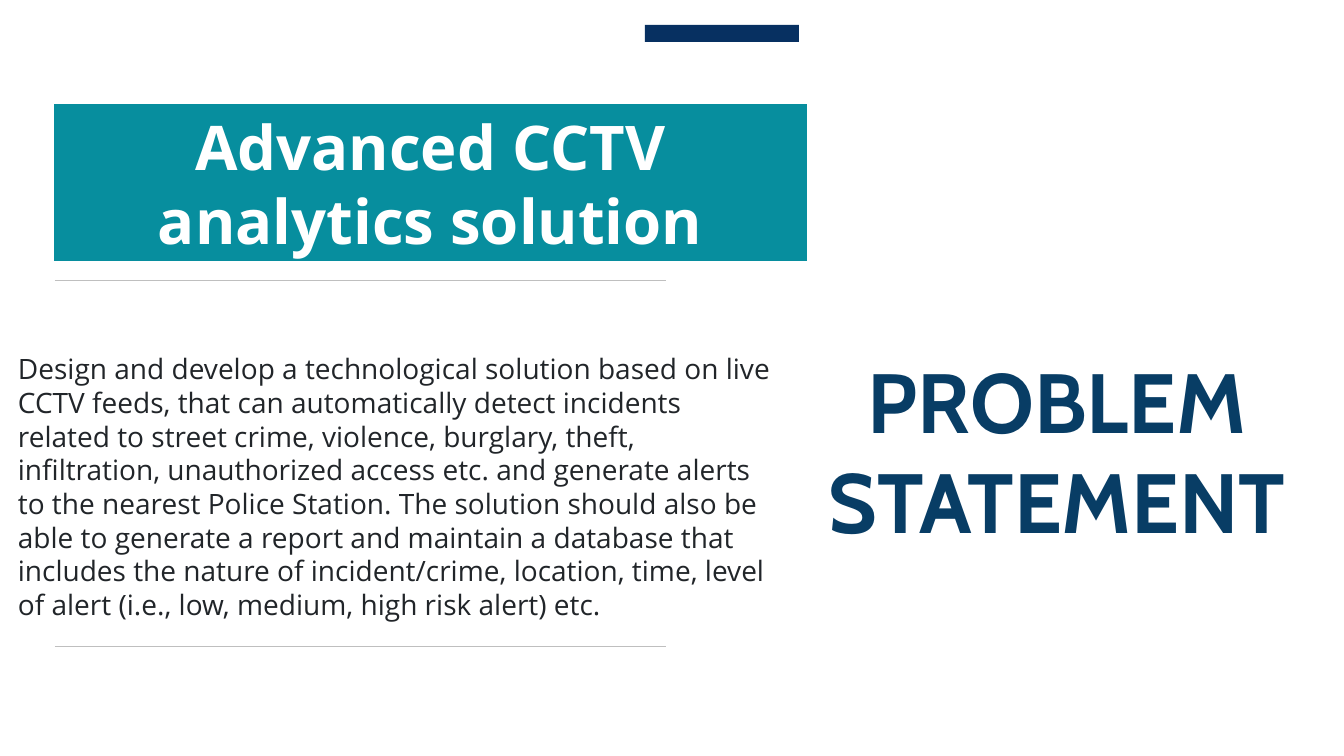
from pptx import Presentation
from pptx.dml.color import RGBColor
from pptx.enum.shapes import MSO_CONNECTOR, MSO_SHAPE
from pptx.enum.text import MSO_ANCHOR, MSO_AUTO_SIZE, PP_ALIGN
from pptx.oxml.ns import qn
from pptx.util import Emu, Pt
from lxml import etree

STRAIGHT = MSO_CONNECTOR.STRAIGHT
RECTANGLE = MSO_SHAPE.RECTANGLE
TOP, MIDDLE = MSO_ANCHOR.TOP, MSO_ANCHOR.MIDDLE
LEFT, CENTER = PP_ALIGN.LEFT, PP_ALIGN.CENTER
NO_AUTOFIT = MSO_AUTO_SIZE.NONE
TITLE_ONLY = 5
EMU_PER_PX = 914400 / 100.8

SLIDE_SIZE = (1344, 756)
HEADING = "PROBLEM STATEMENT"
HEADING_BOX = (808, 349, 498, 204)
BANNER = "Advanced CCTV analytics solution"
BANNER_BOX = (53, 103, 755, 159)
DESCRIPTION = (
    "Design and develop a technological solution based on live CCTV feeds, "
    "that can automatically detect incidents related to street crime, violence, "
    "burglary, theft, infiltration, unauthorized access etc. and generate alerts "
    "to the nearest Police Station. The solution should also be able to generate "
    "a report and maintain a database that includes the nature of incident/crime, "
    "location, time, level of alert (i.e., low, medium, high risk alert) etc."
)
DESCRIPTION_BOX = (8, 347, 783, 281)
ACCENT_BOX = (645, 25, 154, 17)
RULE_LEFT, RULE_RIGHT = 55, 666
RULE_TOPS = (280, 646)


def px(value):
    return Emu(round(value * EMU_PER_PX))


def color(value):
    return RGBColor.from_string(value)


def place(shape, box):
    shape.left, shape.top, shape.width, shape.height = map(px, box)


def write(shape, text, size, font, hex_color, bold, alignment, anchor):
    frame = shape.text_frame
    frame.text = text
    frame.word_wrap = True
    frame.auto_size = NO_AUTOFIT
    frame.vertical_anchor = anchor
    paragraph = frame.paragraphs[0]
    paragraph.alignment = alignment
    run_font = paragraph.runs[0].font
    run_font.size, run_font.name, run_font.bold = Pt(size), font, bold
    run_font.color.rgb = color(hex_color)


def add_rectangle(slide, box, fill):
    shape = slide.shapes.add_shape(RECTANGLE, *map(px, box))
    shape.shadow.inherit = False
    shape.fill.solid()
    shape.fill.fore_color.rgb = color(fill)
    shape.line.fill.background()
    return shape


def add_rule(slide, top):
    rule = slide.shapes.add_connector(
        STRAIGHT, px(RULE_LEFT), px(top), px(RULE_RIGHT), px(top))
    rule.line.color.rgb = color("BFBFBF")
    rule.line.width = Pt(0.5)
    etree.SubElement(rule.element.spPr, qn("a:effectLst"))


def main():
    presentation = Presentation()
    presentation.slide_width, presentation.slide_height = map(px, SLIDE_SIZE)
    slide = presentation.slides.add_slide(presentation.slide_layouts[TITLE_ONLY])

    for top in RULE_TOPS:
        add_rule(slide, top)

    banner = add_rectangle(slide, BANNER_BOX, "078E9E")
    banner.line.color.rgb = color("FFFFFF")
    banner.line.width = Pt(1.5)
    write(banner, BANNER, 44, "Open Sans", "FFFFFF", True, CENTER, MIDDLE)

    add_rectangle(slide, ACCENT_BOX, "073061")

    description = slide.shapes.add_textbox(*map(px, DESCRIPTION_BOX))
    write(description, DESCRIPTION, 20, "Open Sans", "212529", False, LEFT, TOP)

    heading = slide.shapes.title
    place(heading, HEADING_BOX)
    write(heading, HEADING, 60, "Cabin", "083D65", True, CENTER, TOP)
    frame = heading.text_frame
    frame.margin_left = frame.margin_top = frame.margin_right = frame.margin_bottom = 0

    presentation.save("out.pptx")


if __name__ == "__main__":
    main()
